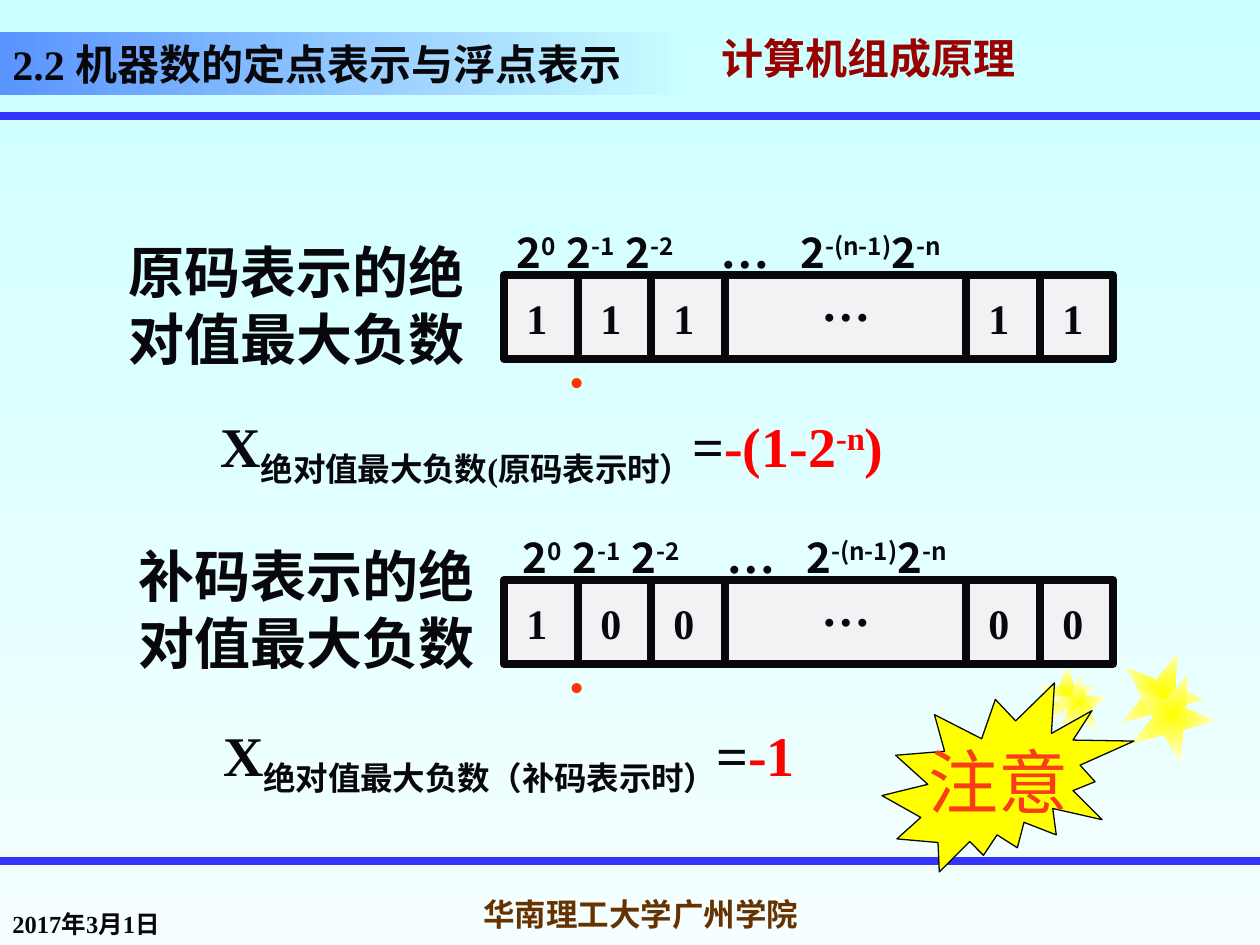
"""Build the slide on the most negative numbers in two fixed-point codes."""
import dataclasses

import lxml.etree
import pptx
import pptx.dml.color
import pptx.enum.shapes
import pptx.enum.text
import pptx.oxml.ns
import pptx.util

SHAPE = pptx.enum.shapes.MSO_SHAPE
ALIGN = pptx.enum.text.PP_ALIGN
ANCHOR = pptx.enum.text.MSO_ANCHOR
SCALE = 914400 / 126
qn = pptx.oxml.ns.qn


@dataclasses.dataclass(frozen=True)
class Theme:
    serif: str = "Times New Roman"
    sans: str = "Noto Sans CJK SC"
    ink: str = "08080C"
    cell: str = "F4F1F5"
    rule: str = "3333FF"
    course: str = "990000"
    shade: str = "808080"
    school: str = "663300"
    red: str = "FF0000"
    point: str = "FF3300"
    alert: str = "F93D17"
    yellow: str = "FFFF00"
    pale: str = "FFFFF5"
    sky: str = "CCFFFF"
    mist: str = "F5FFFF"
    blue: str = "5994FF"
    small: int = 14
    foot: int = 18
    text: int = 24
    dots: int = 28
    large: int = 32
    huge: int = 40
    thick: float = 4.5
    thin: float = 0.75


def px(n):
    return pptx.util.Emu(round(n * SCALE))


def rgb(code):
    return pptx.dml.color.RGBColor.from_string(code)


def add(parent, tag, **attrs):
    node = lxml.etree.SubElement(parent, qn(tag))
    for key, value in attrs.items():
        node.set(key, str(value))
    return node


class Deck:
    def __init__(self, theme, slide):
        self.theme, self.slide = theme, slide

    def blend(self, fill, first, last, angle=0):
        fill.gradient()
        fill.gradient_angle = angle
        for stop, code in zip(fill.gradient_stops, (first, last)):
            stop.color.rgb = rgb(code)

    def face(self, font, name):
        font.name = name
        add(font._element, "a:ea", typeface=self.theme.sans)

    def label(self, shape, runs, size, color=None, name=None, bold=True,
              align=None, anchor=ANCHOR.TOP, wrap=True, tabs=()):
        frame = shape.text_frame
        frame.word_wrap, frame.vertical_anchor = wrap, anchor
        para = frame.paragraphs[0]
        para.alignment = align or ALIGN.LEFT
        if tabs:
            stops = add(para._p.get_or_add_pPr(), "a:tabLst")
            for stop in tabs:
                add(stops, "a:tab", pos=px(stop), algn="l")
        font = para.font
        font.size, font.bold = pptx.util.Pt(size), bold
        font.color.rgb = rgb(color or self.theme.ink)
        self.face(font, name or self.theme.serif)
        for words, style in [(runs, {})] if isinstance(runs, str) else runs:
            run = para.add_run()
            run.text = words
            if "size" in style:
                run.font.size = pptx.util.Pt(style["size"])
            if "color" in style:
                run.font.color.rgb = rgb(style["color"])
            if "name" in style:
                self.face(run.font, style["name"])
            if "base" in style:
                run.font._element.set("baseline", str(style["base"] * 1000))
        return para

    def text(self, box, runs, size, **style):
        shape = self.slide.shapes.add_textbox(*map(px, box))
        return self.label(shape, runs, size, **style)

    def shape(self, kind, box, fill=None, line=None, width=1):
        shape = self.slide.shapes.add_shape(kind, *map(px, box))
        shape.shadow.inherit = False
        if fill:
            shape.fill.solid()
            shape.fill.fore_color.rgb = rgb(fill)
        if line:
            shape.line.color.rgb = rgb(line)
            shape.line.width = pptx.util.Pt(width)
        else:
            shape.line.fill.background()
        return shape

    def line(self, left, top, right, foot, color):
        kind = pptx.enum.shapes.MSO_CONNECTOR.STRAIGHT
        line = self.slide.shapes.add_connector(
            kind, *map(px, (left, top, right, foot)))
        line.line.color.rgb = rgb(color)
        line.line.width = pptx.util.Pt(self.theme.thick)
        add(line._element.spPr, "a:effectLst")

    def star(self, left, top, size, turn):
        star = self.shape(SHAPE.STAR_5_POINT, (left, top, size, size))
        star.rotation = turn
        self.blend(star.fill, self.theme.yellow, self.theme.pale)
        grad = star._element.spPr.find(qn("a:gradFill"))
        grad.remove(grad.find(qn("a:lin")))
        way = add(grad, "a:path", path="shape")
        add(way, "a:fillToRect", l=50000, t=50000, r=50000, b=50000)

    def shade(self, para):
        for run in para.runs:
            run.font.color.rgb = rgb(self.theme.course)
            effect = add(run.font._element, "a:effectLst")
            drop = add(effect, "a:outerShdw", dist=25400, dir=2700000)
            add(drop, "a:srgbClr", val=self.theme.shade)

    def word(self, top, bits, shift):
        look = self.theme
        edges = (504, 578, 651, 966, 1040)
        self.shape(SHAPE.RECTANGLE, (504, top, 609, 84),
                   look.cell, look.ink, look.thick)
        for edge in (*edges[1:], 725):
            self.line(edge, top, edge, top + 84, look.ink)
        self.text((557, top + 74, 95, 63), "•", look.text,
                  color=look.point, bold=False)
        up = {"base": 30}
        runs = [("2", {}), ("0\t", up), ("2", {}), ("-1\t", up),
                ("2", {}), ("-2\t", up),
                ("…\t", {"size": look.dots, "name": look.serif}),
                ("2", {}), ("-(n-1)", up), ("2", {}), ("-n", up)]
        self.text((504 + shift, top - 62, 612, 72), runs, look.text,
                  name=look.sans, anchor=ANCHOR.MIDDLE,
                  tabs=(50, 109, 204, 284))
        for edge, bit in zip(edges, bits):
            self.text((edge + 10, top + 11, 84, 63), bit, look.text)
        self.text((809, top - 9, 136, 72), "…", look.dots)


def main():
    look = Theme()
    show = pptx.Presentation()
    show.slide_width, show.slide_height = px(1260), px(945)
    slide = show.slides.add_slide(show.slide_layouts[6])
    deck = Deck(look, slide)
    deck.blend(slide.background.fill, look.sky, look.mist, 270)

    course = deck.text((709, 32, 551, 63), "计算机组成原理", look.text,
                       color=look.course, name=look.sans,
                       anchor=ANCHOR.MIDDLE)
    course.line_spacing = 0.7
    deck.shade(course)
    for top in (116, 861):
        deck.line(0, top, 1260, top, look.rule)
    for star in ((935, 742, 63, 349), (1038, 664, 58, 0),
                 (1120, 651, 84, 22), (953, 756, 63, 349),
                 (1050, 674, 58, 0), (1130, 672, 84, 22)):
        deck.star(*star)
    deck.text((0, 882, 262, 63), "2017年3月1日", look.small,
              anchor=ANCHOR.BOTTOM)
    deck.text((441, 882, 399, 63), "华南理工大学广州学院", look.foot,
              color=look.school, align=ALIGN.CENTER,
              anchor=ANCHOR.MIDDLE, wrap=False)

    title = deck.shape(SHAPE.RECTANGLE, (0, 32, 693, 63))
    deck.blend(title.fill, look.blue, look.sky)
    deck.label(title, [("2.2 机器", {}),
                       ("数的定点表示与浮点表示", {"name": look.sans})],
               look.text, anchor=ANCHOR.BOTTOM)

    deck.word(580, "10000", 6)
    deck.word(275, "11111", 0)
    deck.text((116, 231, 368, 147), "原码表示的绝对值最大负数", look.large)
    deck.text((126, 535, 410, 147), "补码表示的绝对值最大负数", look.large)

    sub, red = {"base": -25}, {"color": look.red}
    sums = (
        ((134, 410, 822, 79),
         [(" X", {}), ("绝对值最大负数(原码表示时）", sub), ("=", {}),
          ("-(1-2", red), ("-n", {**red, "base": 30}), (")", red)]),
        ((97, 719, 824, 79),
         [("X", {}), ("绝对值最大负数（补码表示时）", sub), ("=", {}),
          ("-1", red)]),
    )
    for box, runs in sums:
        deck.text(box, runs, look.large, align=ALIGN.CENTER,
                  anchor=ANCHOR.MIDDLE)

    burst = deck.shape(SHAPE.EXPLOSION2, (882, 683, 252, 189),
                       look.yellow, look.ink, look.thin)
    deck.label(burst, "注意", look.huge, color=look.alert, bold=False,
               align=ALIGN.CENTER, anchor=ANCHOR.MIDDLE, wrap=False)
    show.save("out.pptx")


if __name__ == "__main__":
    main()
